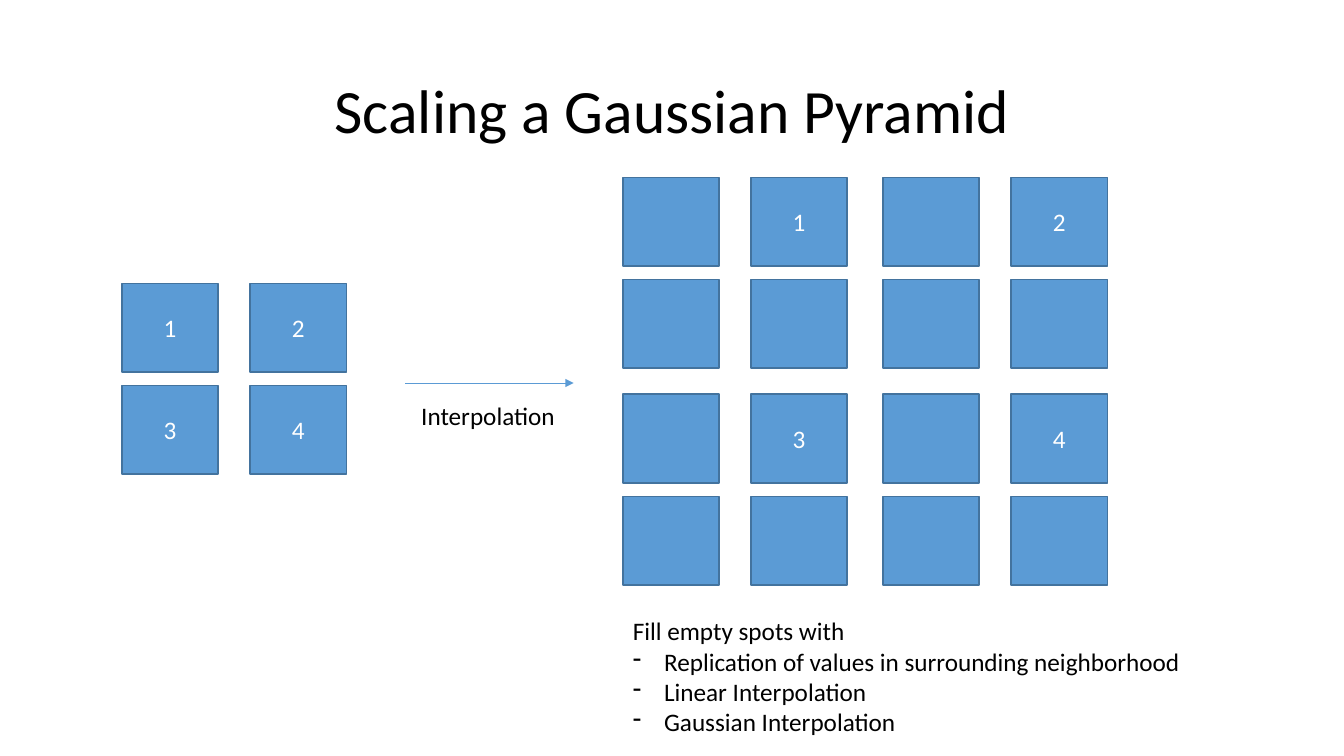
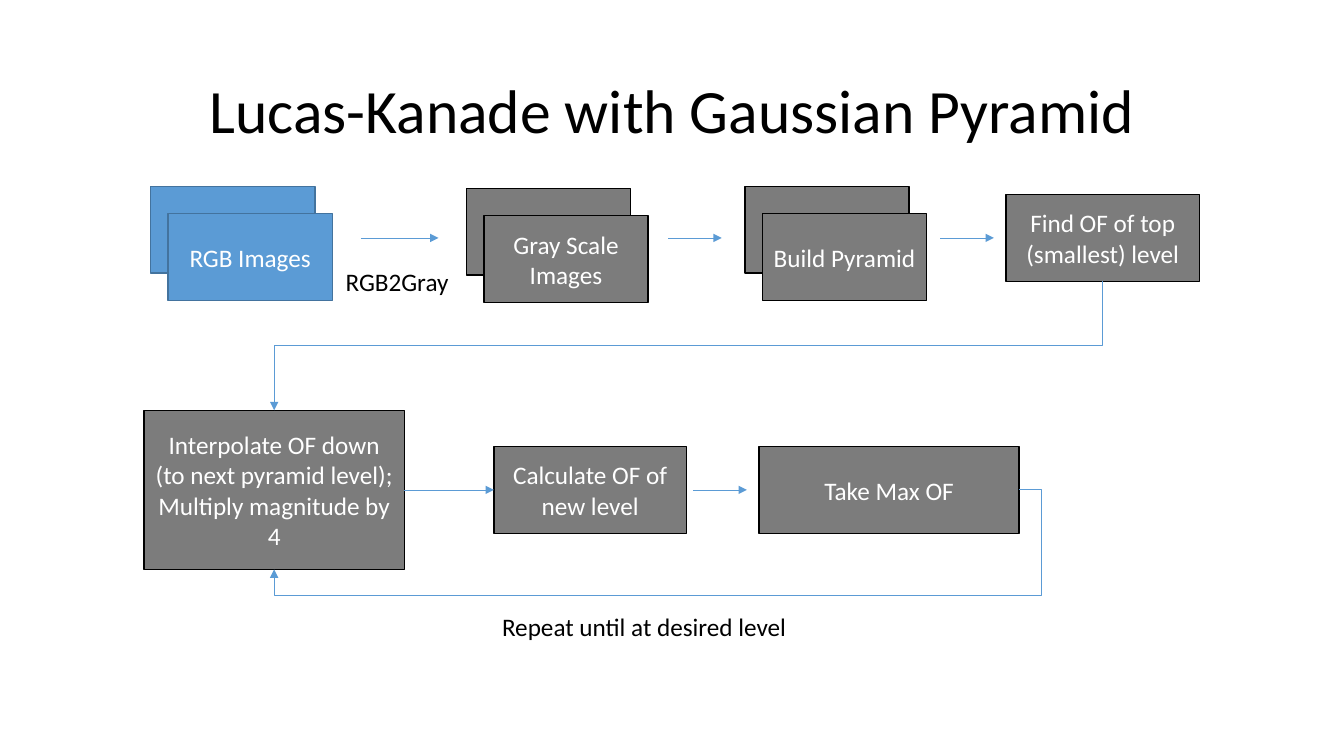
from lxml import etree
from pptx import Presentation
from pptx import util as u
from pptx.dml.color import RGBColor
from pptx.enum import shapes, text
from pptx.oxml.ns import qn

WIDTH, HEIGHT = u.Inches(13.33), u.Inches(7.5)
FONT = "Calibri"
COLORS = {"blue": "5B9BD5", "navy": "43739E", "gray": "7C7C7C",
          "black": "000000", "white": "FFFFFF"}
BLUE_BOX = ("blue", "navy")
GRAY_BOX = ("gray", "black")
CELL_W, CELL_H = 7.16, 11.73
CELL_STEP_X, CELL_STEP_Y = 9.53, 13.5
BLOCK_STEP_X, BLOCK_STEP_Y = 19.35, 28.67
IMAGE_W, STEP_H = 12.23, 11.47
LABEL_H = 5.33
TOP_FLOW, BOTTOM_FLOW = 31.47, 64.8


def across(share):
    """Turn a percentage of the slide width into a length."""
    return u.Emu(round(WIDTH * share / 100))


def down(share):
    """Turn a percentage of the slide height into a length."""
    return u.Emu(round(HEIGHT * share / 100))


def area(left, top, width, height):
    """Convert a rectangle given in percentages."""
    return across(left), down(top), across(width), down(height)


def color(name):
    """Look up a palette colour."""
    return RGBColor.from_string(COLORS[name])


def write(frame, lines, size, ink, align):
    """Fill a text frame with evenly formatted paragraphs."""
    frame.text = "\n".join(lines)
    for paragraph in frame.paragraphs:
        paragraph.alignment = align
        for run in paragraph.runs:
            run.font.size = u.Pt(size)
            run.font.name = FONT
            run.font.color.rgb = color(ink)


def label(slide, place, *lines, size=18, wrap=False, align=text.PP_ALIGN.LEFT):
    """Add free-standing text and return its frame."""
    frame = slide.shapes.add_textbox(*area(*place)).text_frame
    frame.word_wrap = wrap
    write(frame, lines, size, "black", align)
    return frame


def title(slide, heading):
    """Add the shared slide title."""
    frame = label(slide, (6.9, 5.33, 86.25, 19.33), heading, size=44,
                  wrap=True, align=text.PP_ALIGN.CENTER)
    frame.vertical_anchor = text.MSO_ANCHOR.MIDDLE
    frame.paragraphs[0].line_spacing = 0.9


def box(slide, place, caption="", look=GRAY_BOX):
    """Add an outlined rectangle with a centred caption."""
    step = slide.shapes.add_shape(shapes.MSO_SHAPE.RECTANGLE, *area(*place))
    step.shadow.inherit = False
    fill, outline = look
    step.fill.solid()
    step.fill.fore_color.rgb = color(fill)
    step.line.color.rgb = color(outline)
    step.line.width = u.Pt(1)
    if caption:
        step.text_frame.word_wrap = True
        step.text_frame.vertical_anchor = text.MSO_ANCHOR.MIDDLE
        write(step.text_frame, [caption], 18, "white", text.PP_ALIGN.CENTER)


def link(slide, kind, start_x, start_y, end_x, end_y):
    """Add a thin connector with an arrowhead at its end."""
    arrow = slide.shapes.add_connector(kind, start_x, start_y, end_x, end_y)
    arrow.line.color.rgb = color("blue")
    arrow.line.width = u.Pt(0.5)
    properties = arrow._element.spPr
    head = etree.SubElement(properties.find(qn("a:ln")), qn("a:tailEnd"))
    head.set("type", "triangle")
    etree.SubElement(properties, qn("a:effectLst"))
    return properties


def flow_arrow(slide, start, end, level):
    """Add a horizontal arrow at one level."""
    link(slide, shapes.MSO_CONNECTOR.STRAIGHT,
         across(start), down(level), across(end), down(level))


def drop_arrow(slide, start, end):
    """Add an elbow arrow that leaves and arrives vertically."""
    x1, y1, x2, y2 = across(start[0]), down(start[1]), across(end[0]), down(end[1])
    middle_x, middle_y = (x1 + x2) // 2, (y1 + y2) // 2
    half_w, half_h = (x2 - x1) // 2, (y2 - y1) // 2
    properties = link(slide, shapes.MSO_CONNECTOR.ELBOW,
                      middle_x - half_h, middle_y + half_w,
                      middle_x + half_h, middle_y - half_w)
    properties.find(qn("a:xfrm")).set("rot", str(90 * 60000))


def loop_arrow(slide, start, end, bends):
    """Add an arrow that runs out sideways and returns from below."""
    properties = link(slide, shapes.MSO_CONNECTOR.ELBOW,
                      across(start[0]), down(start[1]), across(end[0]), down(end[1]))
    geometry = properties.find(qn("a:prstGeom"))
    geometry.set("prst", "bentConnector4")
    guides = geometry.find(qn("a:avLst"))
    for number, bend in enumerate(bends, 1):
        guide = etree.SubElement(guides, qn("a:gd"))
        guide.set("name", f"adj{number}")
        guide.set("fmla", f"val {round(bend * 100000)}")


def pixel_block(slide, left, top, values):
    """Add a two-by-two block of pixels."""
    for index, value in enumerate(values):
        row, column = divmod(index, 2)
        box(slide, (left + column * CELL_STEP_X, top + row * CELL_STEP_Y,
                    CELL_W, CELL_H), value, BLUE_BOX)


def image_pair(slide, left, top, caption, look=GRAY_BOX):
    """Add two overlapping boxes, the front one captioned."""
    box(slide, (left, top, IMAGE_W, STEP_H), look=look)
    box(slide, (left + 1.3, top + 3.6, IMAGE_W, STEP_H), caption, look)


def dash(paragraph):
    """Give a paragraph a hanging dash."""
    properties = paragraph._p.get_or_add_pPr()
    properties.set("marL", str(u.Inches(0.31)))
    properties.set("indent", str(-u.Inches(0.31)))
    etree.SubElement(properties, qn("a:buChar")).set("char", "-")


def scaling_slide(slide):
    """Show how four pixels spread over a larger level."""
    title(slide, "Scaling a Gaussian Pyramid")
    values = "1234"
    pixel_block(slide, 9.08, 37.47, values)
    for index, value in enumerate(values):
        row, column = divmod(index, 2)
        pixel_block(slide, 46.35 + column * BLOCK_STEP_X,
                    23.47 + row * BLOCK_STEP_Y, ["", value, "", ""])
    flow_arrow(slide, 30.15, 42.68, 50.67)
    label(slide, (30.6, 52.27, 11.55, LABEL_H), "Interpolation")
    methods = label(slide, (46.35, 80.8, 42.75, 17.47),
                    "Fill empty spots with",
                    "Replication of values in surrounding neighborhood",
                    "Linear Interpolation",
                    "Gaussian Interpolation")
    for method in methods.paragraphs[1:]:
        dash(method)


def flow_slide(slide):
    """Show the optical flow loop over the pyramid levels."""
    title(slide, "Lucas-Kanade with Gaussian Pyramid")
    image_pair(slide, 11.2, 24.67, "RGB Images", BLUE_BOX)
    image_pair(slide, 34.7, 24.93, "Gray Scale Images")
    image_pair(slide, 55.42, 24.67, "Build Pyramid")
    box(slide, (74.85, 25.73, 14.4, STEP_H), "Find OF of top (smallest) level")
    for start, end in ((26.85, 32.63), (49.73, 53.7), (69.98, 73.95)):
        flow_arrow(slide, start, end, TOP_FLOW)
    label(slide, (24.98, 34.53, 9.45, LABEL_H), "RGB2Gray")

    box(slide, (10.73, 54.27, 19.35, 21.06),
        "Interpolate OF down (to next pyramid level); Multiply magnitude by 4")
    box(slide, (36.75, 59.07, 14.33, STEP_H), "Calculate OF of new level")
    box(slide, (56.48, 59.07, 19.35, STEP_H), "Take Max OF")
    for start, end in ((30.08, 36.75), (51.6, 55.58)):
        flow_arrow(slide, start, end, BOTTOM_FLOW)
    drop_arrow(slide, (82.05, 37.2), (20.4, 54.27))
    loop_arrow(slide, (75.83, BOTTOM_FLOW), (20.4, 75.33), (-0.03, 1.32))
    label(slide, (34.73, 80.27, 26.4, LABEL_H), "Repeat until at desired level",
          wrap=True, align=text.PP_ALIGN.CENTER)


def main():
    """Build and save the presentation."""
    deck = Presentation()
    deck.slide_width, deck.slide_height = WIDTH, HEIGHT
    for build in (scaling_slide, flow_slide):
        build(deck.slides.add_slide(deck.slide_layouts[6]))
    deck.save("out.pptx")


main()
